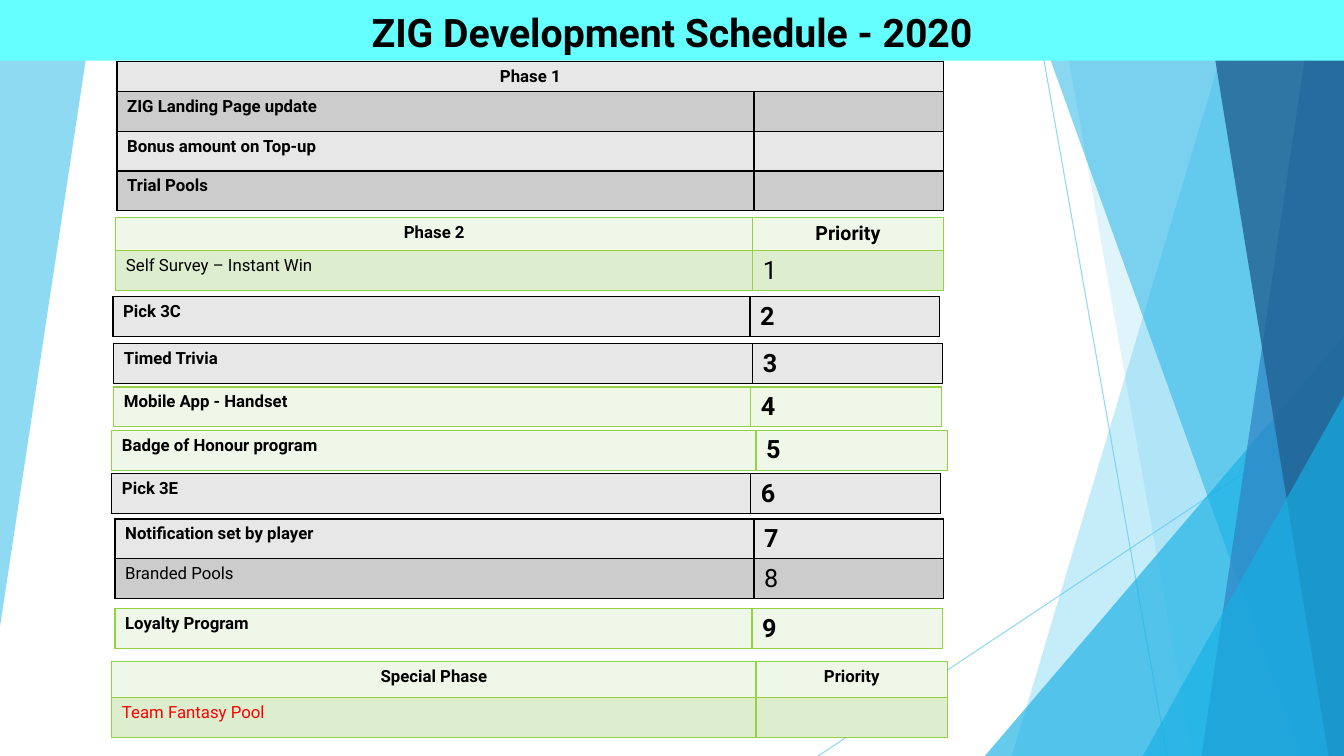
from pptx import Presentation
from pptx import util as u
from pptx.dml.color import RGBColor
from pptx.enum import shapes, text
from pptx.oxml.ns import qn
from lxml import etree

COLORS = {
    "sky": "5FCBEF", "azure": "17B0E4", "blue": "2E83C3", "navy": "226292",
    "banner": "66FFFF", "black": "000000", "red": "FF0000", "lime": "96D141",
    "gray": ("E7E7E7", "CCCCCC"), "green": ("EFF7E9", "DDEECF"),
}
BORDERS = {"gray": "black", "green": "lime"}
W, H = 33.87, 19.05


def paint(fill, color, opacity):
    fill.solid()
    fill.fore_color.rgb = RGBColor.from_string(COLORS[color])
    clr = fill._xPr.find(qn("a:solidFill"))[0]
    etree.SubElement(clr, qn("a:alpha")).set("val", str(opacity * 1000))


def set_font(p, size, bold, color="black"):
    p.font.name = "Roboto"
    p.font.size = u.Pt(size)
    p.font.bold = bold
    p.font.color.rgb = RGBColor.from_string(COLORS[color])


prs = Presentation()
prs.slide_width, prs.slide_height = u.Cm(W), u.Cm(H)
s = prs.slides.add_slide(prs.slide_layouts[6])

rays = [(26.04, 0, 29.41, H), (W, 10.24, 20.62, H)]
for ray in rays:
    ln = s.shapes.add_connector(shapes.MSO_CONNECTOR.STRAIGHT, *map(u.Cm, ray))
    ln.line.width = u.Pt(0.75)
    paint(ln.line.fill, "sky", 70)
    etree.SubElement(ln._element.spPr, qn("a:effectLst"))

shards = [
    ([(0, 0), (2.39, 0), (0, 15.8)], "sky", 70),
    ([(31.19, 0), (W, 0), (W, H), (25.5, H)], "sky", 36),
    ([(26.67, 0), (W, 0), (W, H), (30.05, H)], "sky", 20),
    ([(W, 8.46), (W, H), (24.82, H)], "azure", 66),
    ([(25.93, 0), (W, 0), (W, H), (32.79, H)], "azure", 50),
    ([(33.1, 0), (W, 0), (W, H), (30.28, H)], "blue", 70),
    ([(30.38, 0), (W, 0), (W, H), (33.48, H)], "navy", 80),
    ([(W, 9.98), (W, H), (28.8, H)], "azure", 66),
]
for corners, color, opacity in shards:
    pts = [(u.Cm(x), u.Cm(y)) for x, y in corners]
    fb = s.shapes.build_freeform(*pts[0])
    fb.add_line_segments(pts[1:])
    sp = fb.convert_to_shape()
    sp.shadow.inherit = False
    sp.line.fill.background()
    paint(sp.fill, color, opacity)

sp = s.shapes.add_shape(shapes.MSO_SHAPE.RECTANGLE, 0, 0, u.Cm(W), u.Cm(1.53))
sp.shadow.inherit = False
sp.line.fill.background()
paint(sp.fill, "banner", 100)
tf = sp.text_frame
tf.vertical_anchor = text.MSO_ANCHOR.BOTTOM
p = tf.paragraphs[0]
p.text = "ZIG Development Schedule - 2020"
p.alignment = text.PP_ALIGN.CENTER
set_font(p, 28, True)

tables = [
    ("gray", 2.95, 1.55, (16.05, 4.78), 0.76,
     [("Phase 1", ""), ("ZIG Landing Page update", ""),
      ("Bonus amount on Top-up", ""), ("Trial Pools", "")]),
    ("green", 2.92, 5.48, (16.05, 4.8), 0.84,
     [("Phase 2", "Priority"), ("Self Survey – Instant Win", "1")]),
    ("gray", 2.85, 7.48, (16.05, 4.78), 1, [("Pick 3C", "2")]),
    ("gray", 2.87, 8.66, (16.1, 4.78), 1, [("Timed Trivia", "3")]),
    ("green", 2.87, 9.75, (16.05, 4.8), 1, [("Mobile App - Handset", "4")]),
    ("green", 2.82, 10.85, (16.23, 4.83), 1, [("Badge of Honour program", "5")]),
    ("gray", 2.82, 11.94, (16.1, 4.78), 1, [("Pick 3E", "6")]),
    ("gray", 2.9, 13.08, (16.1, 4.78), 1,
     [("Notification set by player", "7"), ("Branded Pools", "8")]),
    ("green", 2.9, 15.34, (16.05, 4.8), 1, [("Loyalty Program", "9")]),
    ("green", 2.82, 16.67, (16.23, 4.83), 0.91,
     [("Special Phase", "Priority"), ("Team Fantasy Pool", "")]),
]
for theme, left, top, widths, first_height, rows in tables:
    heights = [first_height] + [1] * (len(rows) - 1)
    title = rows[0][0]
    tbl = s.shapes.add_table(len(rows), 2, u.Cm(left), u.Cm(top),
                             u.Cm(sum(widths)), u.Cm(sum(heights))).table
    for col, width in zip(tbl.columns, widths):
        col.width = u.Cm(width)
    for i, row in enumerate(rows):
        tbl.rows[i].height = u.Cm(heights[i])
        for j, words in enumerate(row):
            cell = tbl.cell(i, j)
            tcPr = cell._tc.get_or_add_tcPr()
            for side in ("a:lnL", "a:lnR", "a:lnT", "a:lnB"):
                ln = etree.SubElement(tcPr, qn(side), w=str(u.Pt(1)))
                fill = etree.SubElement(ln, qn("a:solidFill"))
                etree.SubElement(fill, qn("a:srgbClr"), val=COLORS[BORDERS[theme]])
            cell.fill.solid()
            cell.fill.fore_color.rgb = RGBColor.from_string(COLORS[theme][i % 2])
            p = cell.text_frame.paragraphs[0]
            p.text = words
            if i == 0 and "Phase" in title:
                p.alignment = text.PP_ALIGN.CENTER
            size = 18 if words.isdigit() else 12
            if words == "Priority" and title == "Phase 2":
                size = 14
            bold = i == 0 or title == "Phase 1"
            set_font(p, size, bold, "red" if words == "Team Fantasy Pool" else "black")
    if title == "Phase 1":
        tbl.cell(0, 0).merge(tbl.cell(0, 1))

prs.save("out.pptx")
